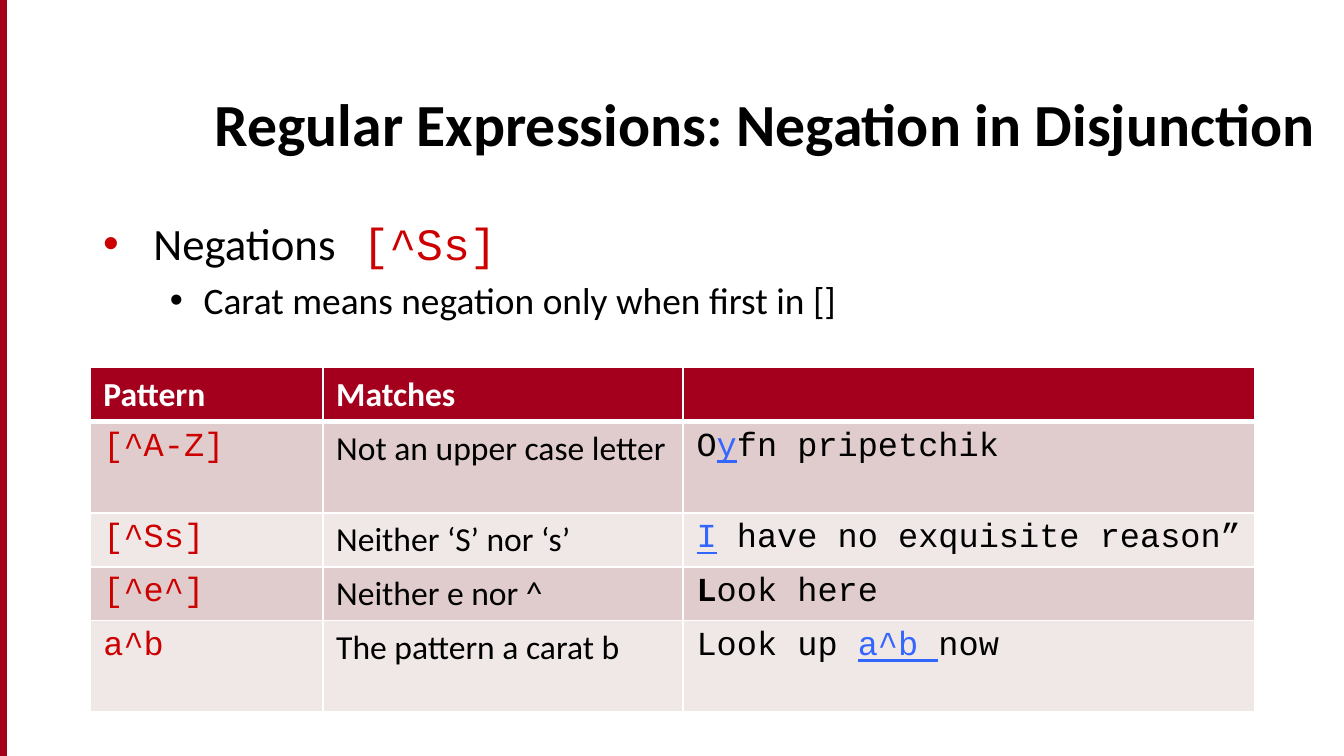
from lxml import etree
from pptx import Presentation
from pptx.dml.color import RGBColor
from pptx.enum.shapes import MSO_SHAPE
from pptx.enum.text import MSO_ANCHOR
from pptx.oxml.ns import qn
from pptx.util import Cm, Pt

RECTANGLE = MSO_SHAPE.RECTANGLE
BOTTOM, TOP = MSO_ANCHOR.BOTTOM, MSO_ANCHOR.TOP

BLACK = RGBColor(0x00, 0x00, 0x00)
WHITE = RGBColor(0xFF, 0xFF, 0xFF)
CRIMSON = RGBColor(0xA4, 0x00, 0x1D)
RED = RGBColor(0xCC, 0x00, 0x00)
BLUE = RGBColor(0x33, 0x66, 0xFF)
DARK_BAND = RGBColor(0xE0, 0xCC, 0xCC)
LIGHT_BAND = RGBColor(0xF0, 0xE7, 0xE7)

SANS, MONO = "Calibri", "Courier New"
MATCH = {"color": BLUE, "underline": True}

HEADINGS = ["Pattern", "Matches", ""]
EXAMPLES = [
    ("[^A-Z]", "Not an upper case letter",
     [("O", {}), ("y", MATCH), ("fn pripetchik", {})]),
    ("[^Ss]", "Neither ‘S’ nor ‘s’",
     [("I", MATCH), (" have no exquisite reason”", {})]),
    ("[^e^]", "Neither e nor ^",
     [("L", {"bold": True}), ("ook here", {})]),
    ("a^b", "The pattern a carat b",
     [("Look up ", {}), ("a^b ", MATCH), ("now", {})]),
]
COLUMN_WIDTHS = [4.4, 6.81, 10.81]
ROW_HEIGHTS = [0.99, 1.73, 0.99, 0.99, 1.73]


def add_text(para, text, size=18, font=SANS, color=BLACK, bold=False, underline=False):
    """Append one formatted span to a paragraph."""
    span = para.add_run()
    span.text = text
    span.font.size = Pt(size)
    span.font.name = font
    span.font.color.rgb = color
    span.font.bold = bold
    span.font.underline = underline


def add_frame(page, box, anchor):
    """Add a wrapping text box and return its text frame."""
    frame = page.shapes.add_textbox(*map(Cm, box)).text_frame
    frame.word_wrap = True
    frame.vertical_anchor = anchor
    return frame


def set_bullet(para, color, margin, indent, space):
    """Give a paragraph a coloured bullet with a hanging indent."""
    para.space_before = Pt(space)
    properties = para._p.get_or_add_pPr()
    properties.set("marL", str(Cm(margin)))
    properties.set("indent", str(Cm(indent)))
    holder = etree.SubElement(properties, qn("a:buClr"))
    etree.SubElement(holder, qn("a:srgbClr"), val=str(color))
    etree.SubElement(properties, qn("a:buFont"), typeface="Arial")
    etree.SubElement(properties, qn("a:buChar"), char="•")


def set_borders(cell, top, bottom):
    """Draw white borders of the given point widths around a cell."""
    properties = cell._tc.get_or_add_tcPr()
    widths = {"a:lnL": 0.96, "a:lnR": 0.96, "a:lnT": top, "a:lnB": bottom}
    for side, width in widths.items():
        line = etree.SubElement(properties, qn(side), w=str(Pt(width)))
        fill = etree.SubElement(line, qn("a:solidFill"))
        etree.SubElement(fill, qn("a:srgbClr"), val=str(WHITE))


def add_side_bar(page, box):
    """Place the crimson bar on the page edge."""
    bar = page.shapes.add_shape(RECTANGLE, *map(Cm, box))
    bar.shadow.inherit = False
    bar.fill.solid()
    bar.fill.fore_color.rgb = CRIMSON
    bar.line.color.rgb = CRIMSON
    bar.line.width = Pt(0.75)


def add_title(page, box):
    """Place the page title."""
    para = add_frame(page, box, BOTTOM).paragraphs[0]
    add_text(para, "Regular Expressions: Negation in Disjunction", size=32, bold=True)


def add_bullets(page, box):
    """Place the two-level explanation of negation."""
    frame = add_frame(page, box, TOP)
    para = frame.paragraphs[0]
    set_bullet(para, RED, 0.95, -0.95, 4.8)
    add_text(para, "Negations", size=24)
    add_text(para, " [^Ss]", size=24, font=MONO, color=RED)
    para = frame.add_paragraph()
    para.level = 1
    set_bullet(para, BLACK, 1.9, -0.64, 4)
    add_text(para, "Carat means negation only when first in []", size=20)


def add_pattern_table(page, box):
    """Place the table of patterns, meanings and example matches."""
    table = page.shapes.add_table(
        len(ROW_HEIGHTS), len(COLUMN_WIDTHS), *map(Cm, box)).table
    table.horz_banding = False
    for column, width in zip(table.columns, COLUMN_WIDTHS):
        column.width = Cm(width)
    for row, height in zip(table.rows, ROW_HEIGHTS):
        row.height = Cm(height)

    rows = [[[(heading, {"color": WHITE, "bold": True})] for heading in HEADINGS]]
    for pattern, meaning, example in EXAMPLES:
        rows.append([
            [(pattern, {"font": MONO, "color": RED})],
            [(meaning, {})],
            [(text, {"font": MONO, **style}) for text, style in example],
        ])
    for index, row in enumerate(rows):
        band = DARK_BAND if index % 2 else LIGHT_BAND
        for column, spans in enumerate(row):
            cell = table.cell(index, column)
            set_borders(cell, 3 if index == 1 else 0.96, 3 if index == 0 else 0.96)
            cell.fill.solid()
            cell.fill.fore_color.rgb = band if index else CRIMSON
            for text, style in spans:
                if text:
                    add_text(cell.text_frame.paragraphs[0], text, **style)


def main():
    """Build the deck and save it."""
    deck = Presentation()
    deck.slide_width, deck.slide_height = Cm(25.4), Cm(14.29)
    page = deck.slides.add_slide(deck.slide_layouts[6])
    add_side_bar(page, (0, 0, 0.13, 14.29))
    add_title(page, (3.81, 1.07, 21.59, 2.06))
    add_bullets(page, (1.7, 3.96, 21.16, 11.43))
    add_pattern_table(page, (1.7, 6.95, sum(COLUMN_WIDTHS), sum(ROW_HEIGHTS)))
    deck.save("out.pptx")


if __name__ == "__main__":
    main()
